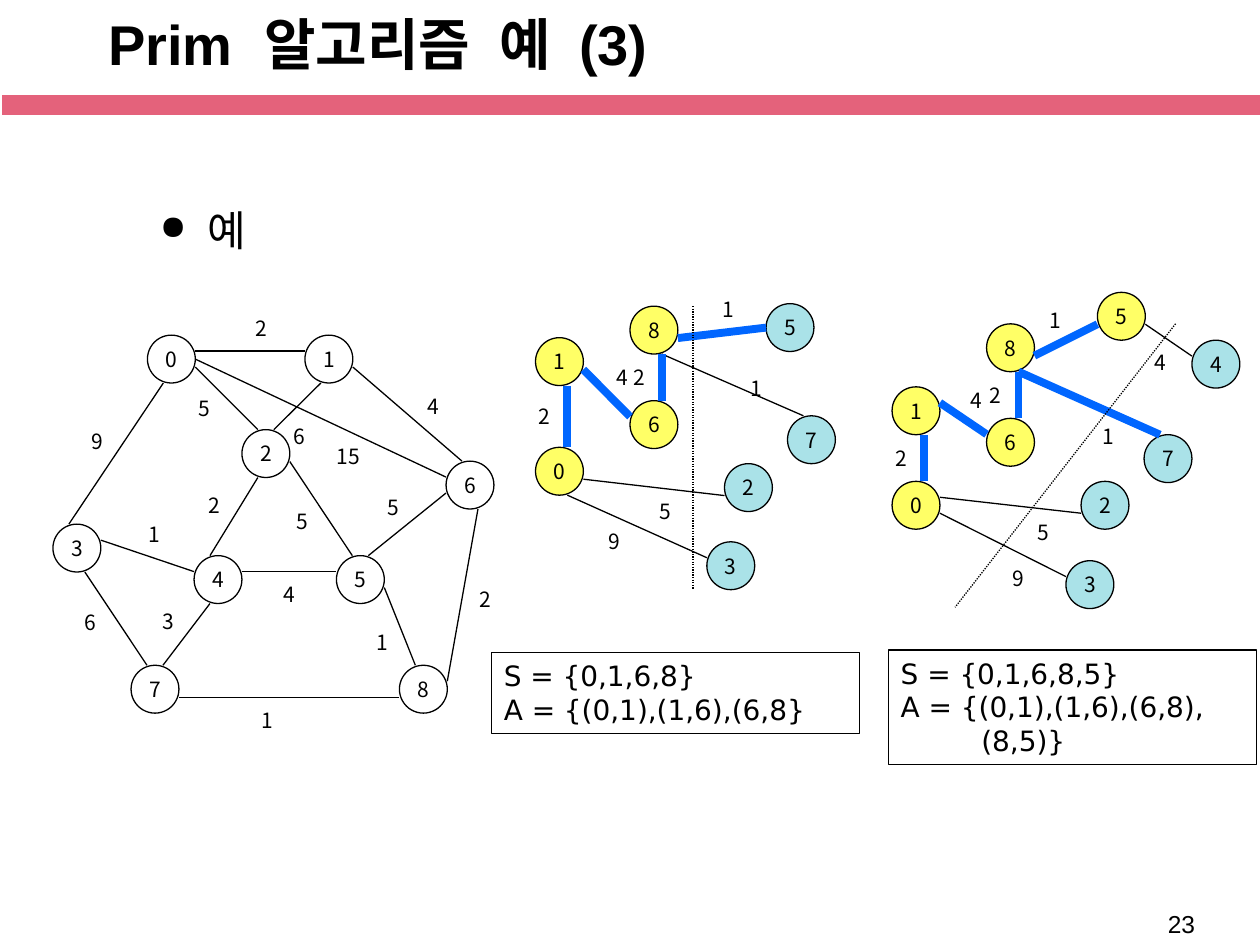
from math import cos, hypot, pi, sin

from lxml import etree
from pptx import Presentation
from pptx.dml.color import RGBColor
from pptx.enum.dml import MSO_LINE
from pptx.enum.shapes import MSO_CONNECTOR, MSO_SHAPE
from pptx.enum.text import MSO_ANCHOR, PP_ALIGN
from pptx.oxml.ns import qn
from pptx.util import Inches, Pt

STRAIGHT, DOT = MSO_CONNECTOR.STRAIGHT, MSO_LINE.ROUND_DOT
OVAL, RECT = MSO_SHAPE.OVAL, MSO_SHAPE.RECTANGLE
LEFT, CENTER = PP_ALIGN.LEFT, PP_ALIGN.CENTER
TOP, MIDDLE = MSO_ANCHOR.TOP, MSO_ANCHOR.MIDDLE

THEME = {
    "black": "000000", "white": "FFFFFF", "bar": "E4627B",
    "plain": "FFFFFF", "done": "FFFF66", "open": "AAE2E8", "tree": "0066FF",
    "latin": "Arial", "korean": "Noto Sans CJK KR", "mono": "DejaVu Sans",
    "title": 32, "body": 24, "sets": 16, "page": 14, "node": 12,
    "thin": 0.75, "thick": 4.5,
}
NODE, LABEL, GAP = 0.38, 0.3, 0.18
# Side of the edge, seen from its first node, that holds the weight
L, R, NEAR = 1, -1, 0.3

# Content. Nodes: name, centre. Edges: node@clock hour where the line meets
# the node, at both ends, then weight, side and (if not halfway) place along it.
TITLE = ["Prim", "알고리즘", "예", "(3)"]
BULLET = "예"
PAGE = "23"
GRAPHS = [
    {   # whole graph
        "plain": {"0": (1.36, 2.85), "1": (2.61, 2.85), "2": (2.11, 3.6),
                  "3": (0.61, 4.35), "4": (1.73, 4.6), "5": (2.86, 4.6),
                  "6": (3.73, 3.85), "7": (1.23, 5.47), "8": (3.36, 5.47)},
        "edges": [("0@2", "1@10", "2", L, 0.6), ("0@7", "3@11", "9", R),
                  ("3@2", "4@10", "1", L), ("2@7", "4@11", "2", R),
                  ("2@4", "5@11", "5", R), ("0@4", "2@11", "5", R, 0.4),
                  ("1@7", "2@1", "6", L, 0.8), ("6@8", "5@1", "5", R),
                  ("1@4", "6@11", "4", L, 0.6), ("3@5", "7@11", "6", R, 0.4),
                  ("4@7", "7@1", "3", R), ("7@4", "8@8", "1", R, 0.4),
                  ("4@2", "5@10", "4", R), ("5@4", "8@11", "1", R, 0.6),
                  ("6@5", "8@2", "2", L), ("0@3", "6@10", "15", R, 0.65)],
    },
    {   # after choosing 8
        "done": {"0": (4.44, 3.74), "1": (4.44, 2.87), "6": (5.19, 3.37), "8": (5.19, 2.62)},
        "open": {"2": (5.94, 3.87), "3": (5.8, 4.49), "5": (6.27, 2.6), "7": (6.44, 3.49)},
        "tree": [("0@1", "1@5", "2", L), ("1@4", "6@10", "4", L),
                 ("6@1", "8@5", "2", L), ("8@4", "5@9", "1", L, 0.6)],
        "edges": [("0@4", "2@8", "5", R, 0.6), ("0@5", "3@10", "9", R, 0.4),
                  ("8@5", "7@11", "1", NEAR, 0.65)],
        "cut": (5.5, 2.43, 5.5, 4.68),
    },
    {   # after choosing 5
        "done": {"0": (7.27, 4.01), "1": (7.27, 3.26), "6": (8.02, 3.51),
                 "8": (8.02, 2.76), "5": (8.9, 2.51)},
        "open": {"2": (8.77, 4.01), "3": (8.65, 4.64), "4": (9.65, 2.89), "7": (9.27, 3.64)},
        "tree": [("0@1", "1@5", "2", L), ("1@2", "6@10", "4", L),
                 ("6@1", "8@5", "2", L), ("8@4", "5@8", "1", L), ("8@5", "7@11", "1", R, 0.7)],
        "edges": [("0@2", "2@8", "5", R, 0.75), ("0@4", "3@10", "9", R, 0.7),
                  ("5@4", "4@10", "4", R, 0.6)],
        "cut": (9.33, 2.57, 7.58, 4.82),
    },
]
# Set boxes: place, then lines of (text, indent)
SETS = [
    ((3.9, 5.18, 2.92, 0.64), [("S = {0,1,6,8}", 0), ("A = {(0,1),(1,6),(6,8}", 0)]),
    ((7.05, 5.16, 2.92, 0.91), [("S = {0,1,6,8,5}", 0), ("A = {(0,1),(1,6),(6,8),", 0),
                                ("(8,5)}", 0.64)]),
]


def color(name):
    return RGBColor.from_string(THEME[name])


def add_run(p, text, size, font, bold=False):
    r = p.add_run()
    r.text = text
    r.font.size, r.font.name, r.font.bold = Pt(THEME[size]), THEME[font], bold
    r.font.color.rgb = color("black")
    etree.SubElement(r.font._element, qn("a:ea")).set("typeface", THEME["korean"])
    return r


def setup_frame(sp, align=LEFT, anchor=TOP, inset=True, wrap=True):
    tf = sp.text_frame
    tf.word_wrap, tf.vertical_anchor = wrap, anchor
    tf.margin_left = tf.margin_right = Inches(0.1 if inset else 0)
    tf.margin_top = tf.margin_bottom = Inches(0.05 if inset else 0)
    tf.paragraphs[0].alignment = align
    return tf


def add_text_box(s, place, **frame):
    return setup_frame(s.shapes.add_textbox(*map(Inches, place)), **frame)


def add_box(s, kind, place, fill, line="black", width=THEME["thin"]):
    sp = s.shapes.add_shape(kind, *map(Inches, place))
    sp.shadow.inherit = False
    if fill:
        sp.fill.solid()
        sp.fill.fore_color.rgb = color(fill)
    else:
        sp.fill.background()
    sp.line.color.rgb, sp.line.width = color(line), Pt(width)
    return sp


def add_line(s, ends, name="black", width="thin", dash=None):
    line = s.shapes.add_connector(STRAIGHT, *map(Inches, ends))
    line.line.color.rgb, line.line.width = color(name), Pt(THEME[width])
    if dash:
        line.line.dash_style = dash
    etree.SubElement(line._element.spPr, qn("a:effectLst"))


def contact(nodes, end):
    """Point on the square around a node, split in thirds, at a clock hour."""
    name, hour = end.split("@")
    angle = int(hour) * pi / 6

    def snap(v):
        size = 1 if abs(v) > 0.6 else 1 / 3 if abs(v) > 0.1 else 0
        return NODE / 2 * (size if v > 0 else -size)

    x, y = nodes[name]
    return x + snap(sin(angle)), y - snap(cos(angle))


def square(x, y, size):
    return x - size / 2, y - size / 2, size, size


def add_graph(s, graph):
    small = {"align": CENTER, "anchor": MIDDLE, "inset": False, "wrap": False}
    nodes = {}
    for fill in ("plain", "done", "open"):
        for name, (x, y) in graph.get(fill, {}).items():
            nodes[name] = x, y
            sp = add_box(s, OVAL, square(x, y, NODE), fill)
            add_run(setup_frame(sp, **small).paragraphs[0], name, "node", "korean")
    for kind, style in (("edges", ("black", "thin")), ("tree", ("tree", "thick"))):
        for start, end, weight, side, *along in graph.get(kind, []):
            (x1, y1), (x2, y2) = contact(nodes, start), contact(nodes, end)
            add_line(s, (x1, y1, x2, y2), *style)
            dx, dy, t = x2 - x1, y2 - y1, along[0] if along else 0.5
            shift = side * GAP / hypot(dx, dy)
            place = square(x1 + t * dx + shift * dy, y1 + t * dy - shift * dx, LABEL)
            add_run(add_text_box(s, place, **small).paragraphs[0], weight, "node", "korean")
    if "cut" in graph:
        add_line(s, graph["cut"], dash=DOT)


def add_bullet(p, char):
    pPr = p._p.get_or_add_pPr()
    pPr.set("marL", str(Inches(0.38)))
    pPr.set("indent", str(-Inches(0.38)))
    etree.SubElement(pPr, qn("a:buSzPct")).set("val", "80000")
    etree.SubElement(pPr, qn("a:buChar")).set("char", char)


def main():
    prs = Presentation()
    prs.slide_width, prs.slide_height = Inches(10), Inches(7.5)
    s = prs.slides.add_slide(prs.slide_layouts[6])

    # Bar, title with wide word gaps, page number
    add_box(s, RECT, (0.01, 0.75, 10, 0.17), "bar", "white", 1)
    p = add_text_box(s, (0.76, 0, 8.52, 0.68), anchor=MIDDLE).paragraphs[0]
    for i, word in enumerate(TITLE):
        if i:
            add_run(p, " ", "title", "latin", True).font._element.set("spc", "900")
        add_run(p, word, "title", "latin", True)
    p = add_text_box(s, (9.17, 7.17, 0.57, 0.33), anchor=MIDDLE).paragraphs[0]
    add_run(p, PAGE, "page", "latin")

    # Bullet
    p = add_text_box(s, (1.17, 1.57, 2.8, 0.5), anchor=MIDDLE).paragraphs[0]
    add_bullet(p, "●")
    add_run(p, BULLET, "body", "korean")

    # Graphs
    for graph in GRAPHS:
        add_graph(s, graph)

    # Set boxes
    for place, lines in SETS:
        tf = setup_frame(add_box(s, RECT, place, None))
        for i, (text, indent) in enumerate(lines):
            p = tf.add_paragraph() if i else tf.paragraphs[0]
            p.alignment = LEFT
            if indent:
                p._p.get_or_add_pPr().set("marL", str(Inches(indent)))
            add_run(p, text, "sets", "mono")

    prs.save("out.pptx")


if __name__ == "__main__":
    main()
